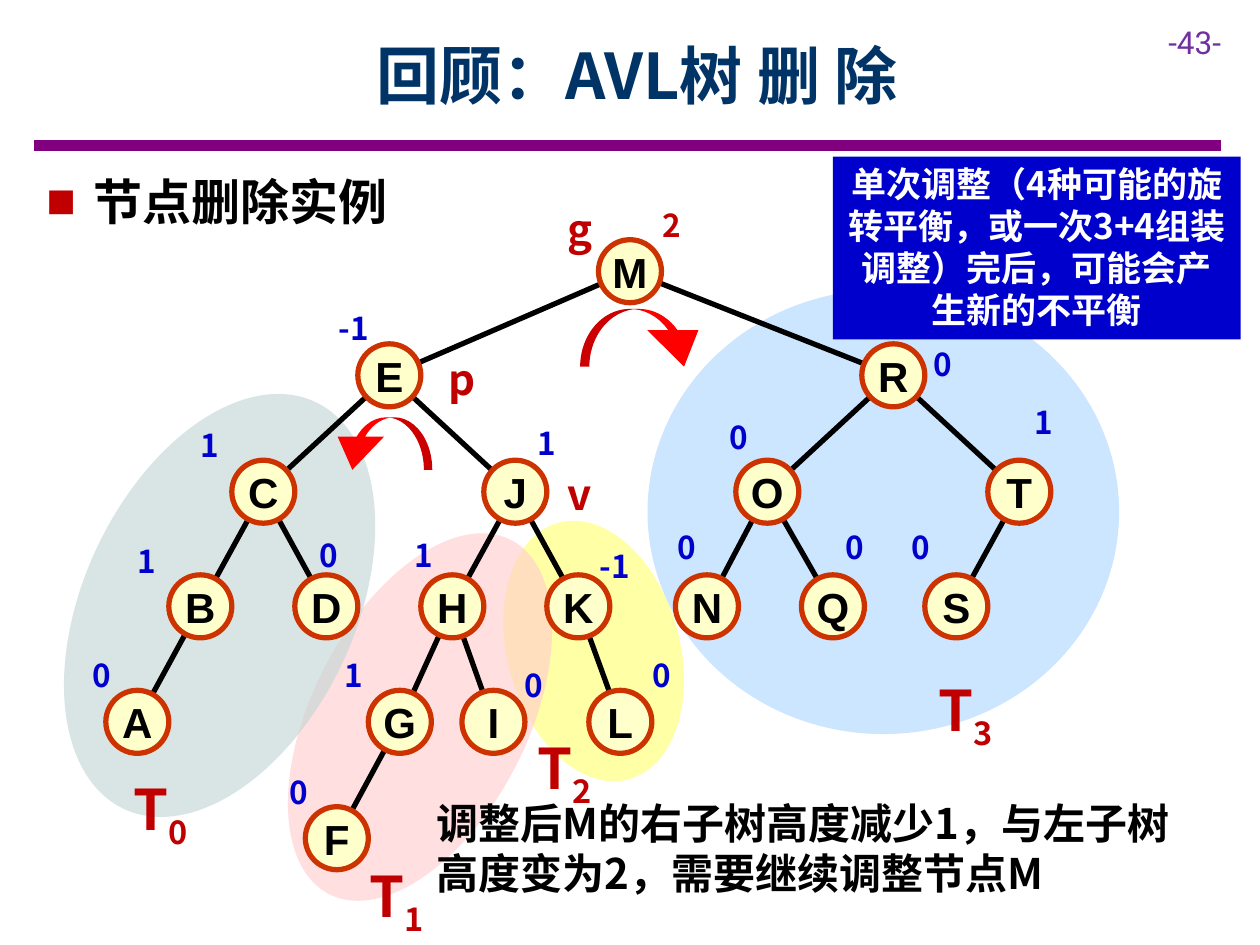
import pptx
import pptx.util
import pptx.dml.color
import pptx.enum.shapes
import pptx.enum.text
import pptx.oxml.ns
import lxml.etree

Pt = pptx.util.Pt
SHAPE = pptx.enum.shapes.MSO_SHAPE
ALIGN = pptx.enum.text.PP_ALIGN
ANCHOR = pptx.enum.text.MSO_ANCHOR
FIT = pptx.enum.text.MSO_AUTO_SIZE.SHAPE_TO_FIT_TEXT
qn = pptx.oxml.ns.qn

CJK, LATIN = "Noto Sans CJK SC", "Arial"
RED, BLUE, BLACK = "C00000", "0000CC", "000000"
NODE_SIZE = 36
ROWS = [55, 114.5, 181, 246.5, 312.5, 379]

# node: (centre x, row, parent, balance factor, left and top of the factor)
NODES = {
    "M": (360, 0, None, "2", (371.5, 14)),
    "E": (222.5, 1, "M", "-1", (186.5, 73)),
    "R": (510.5, 1, "M", "0", (526.5, 93.5)),
    "C": (150.5, 2, "E", "1", (107.5, 140)),
    "J": (294.5, 2, "E", "1", (300, 138.5)),
    "O": (438.5, 2, "R", "0", (409.5, 135.5)),
    "T": (582.5, 2, "R", "1", (584, 127)),
    "B": (114.5, 3, "C", "1", (71.5, 206)),
    "D": (186.5, 3, "C", "0", (175.5, 203)),
    "H": (258.5, 3, "J", "1", (229.5, 203)),
    "K": (330.5, 3, "J", "-1", (335.5, 209)),
    "N": (404, 3, "O", "0", (380, 198)),
    "Q": (476, 3, "O", "0", (476, 198)),
    "S": (546.5, 3, "T", "0", (513.5, 198)),
    "A": (78.5, 4, "B", "0", (45.5, 271.5)),
    "G": (228.5, 4, "H", "1", (190, 271.5)),
    "I": (282, 4, "H", "0", (292.5, 277)),
    "L": (354.5, 4, "K", "0", (366, 271.5)),
    "F": (192.5, 5, "G", "0", (158.5, 338)),
}
# subtree areas: left, top, width, height, rotation, colour, opacity in %
SUBTREES = [
    (370, 65.5, 269.5, 254, 0, "70B8FF", 35),
    (290, 196, 98.5, 152, 344.6, "FFFF00", 35),
    (178.5, 196, 123, 227.5, 27.2, "FFCCCC", 62),
    (48, 117.5, 155, 257, 25.2, "C2D6D6", 62),
]
SUBTREE_NAMES = [(69, 339), (204, 389), (300, 315.5), (529, 282.5)]
ROLES = [("g", 317.5, 12.5), ("p", 249, 98.5), ("v", 317, 164)]
# rotation arrows: left, top, width, height, mirrored
ROTATIONS = [(202.5, 124, 30, 59, True), (352, 56, 33, 74, False)]


def rgb(value):
    return pptx.dml.color.RGBColor.from_string(value)


def set_font(paragraph, size, color, face=CJK, bold=True):
    font = paragraph.font
    font.size, font.bold, font.name = Pt(size), bold, face
    font.color.rgb = rgb(color)
    defaults = paragraph._p.pPr.find(qn("a:defRPr"))
    east_asian = lxml.etree.Element(qn("a:ea"), typeface=face)
    defaults.find(qn("a:latin")).addnext(east_asian)


def add_text(slide, box, text, size, color, wrap=False, **font):
    label = slide.shapes.add_textbox(*map(Pt, box))
    frame = label.text_frame
    frame.word_wrap, frame.auto_size = wrap, FIT
    paragraph = frame.paragraphs[0]
    paragraph.text = text
    set_font(paragraph, size, color, **font)
    return paragraph


def add_filled(slide, kind, box, fill, line=None):
    shape = slide.shapes.add_shape(kind, *map(Pt, box))
    shape.shadow.inherit = False
    shape.fill.solid()
    shape.fill.fore_color.rgb = rgb(fill)
    if line:
        shape.line.color.rgb, shape.line.width = rgb(line), Pt(3)
    else:
        shape.line.fill.background()
    return shape


def add_line(slide, start, end, color, width):
    line = slide.shapes.add_connector(
        pptx.enum.shapes.MSO_CONNECTOR.STRAIGHT, *map(Pt, (*start, *end)))
    line.line.color.rgb, line.line.width = rgb(color), Pt(width)
    lxml.etree.SubElement(line._element.spPr, qn("a:effectLst"))


def build_header(slide, box):
    left, top, width, height = box
    title = slide.shapes.title
    title.left, title.top = Pt(left + 45.5), Pt(top)
    title.width, title.height = Pt(598), Pt(72)
    title.text_frame.vertical_anchor = ANCHOR.MIDDLE
    heading = title.text_frame.paragraphs[0]
    heading.text = "回顾：AVL树 删 除"
    heading.alignment = ALIGN.CENTER
    set_font(heading, 36, "003366")
    add_line(slide, (left, top + height), (left + width, top + height), "800080", 6)
    add_text(slide, (left + 641, top + 3, 60, 29), "-43-", 18, "7030A0",
             wrap=True, face="Roboto", bold=False)


def build_bullet(slide, box):
    paragraph = add_text(slide, box, "节点删除实例", 28, BLACK, wrap=True)
    paragraph.space_after = Pt(6)
    properties = paragraph._p.pPr
    properties.set("marL", str(Pt(27)))
    properties.set("indent", str(-Pt(27)))
    defaults = properties.find(qn("a:defRPr"))
    bullet_color = lxml.etree.Element(qn("a:buClr"))
    lxml.etree.SubElement(bullet_color, qn("a:srgbClr"), val=RED)
    defaults.addprevious(bullet_color)
    defaults.addprevious(lxml.etree.Element(qn("a:buFont"), typeface=LATIN))
    defaults.addprevious(lxml.etree.Element(qn("a:buChar"), char="■"))


def build_tree(slide, box):
    left, top = box[:2]

    def centre(name):
        return left + NODES[name][0], top + ROWS[NODES[name][1]]

    # Subtree areas
    for x, y, width, height, rotation, color, opacity in SUBTREES:
        area = add_filled(slide, SHAPE.OVAL, (left + x, top + y, width, height), color)
        area.rotation = rotation
        fill_color = area._element.spPr.find(qn("a:solidFill"))[0]
        lxml.etree.SubElement(fill_color, qn("a:alpha"), val=str(opacity * 1000))

    # Edges, then nodes over their ends
    for name, (_, _, parent, _, _) in NODES.items():
        if parent:
            add_line(slide, centre(parent), centre(name), BLACK, 3)
    for name, (_, _, _, factor, (x, y)) in NODES.items():
        node_x, node_y = centre(name)
        node = add_filled(slide, SHAPE.OVAL,
                          (node_x - NODE_SIZE / 2, node_y - NODE_SIZE / 2,
                           NODE_SIZE, NODE_SIZE), "FFFFCC", "CC3300")
        frame = node.text_frame
        frame.margin_left = frame.margin_right = 0
        frame.margin_top = frame.margin_bottom = 0
        frame.word_wrap, frame.vertical_anchor = False, ANCHOR.MIDDLE
        letter = frame.paragraphs[0]
        letter.text, letter.alignment = name, ALIGN.CENTER
        set_font(letter, 24, BLACK, face=LATIN)
        add_text(slide, (left + x, top + y, 26 if len(factor) == 1 else 34, 29),
                 factor, 18, RED if name == "M" else BLUE)

    # Roles and rotation arrows
    for role, x, y in ROLES:
        add_text(slide, (left + x, top + y, 31, 36), role, 24, RED)
    for x, y, width, height, mirrored in ROTATIONS:
        arrow = add_filled(slide, SHAPE.CURVED_LEFT_ARROW,
                           (left + x, top + y, width, height), "FF0000")
        arrow.rotation = 270
        for index, value in enumerate((0.16, 0.886, 0.633)):
            arrow.adjustments[index] = value
        if mirrored:
            arrow._element.spPr.find(qn("a:xfrm")).set("flipV", "1")

    # Subtree names with subscripts
    for index, (x, y) in enumerate(SUBTREE_NAMES):
        name = add_text(slide, (left + x, top + y, 48, 46), "T", 32, RED)
        subscript = name.add_run()
        subscript.text = str(index)
        subscript._r.get_or_add_rPr().set("baseline", "-25000")


def build_conclusion(slide, box):
    paragraph = add_text(
        slide, box, "调整后M的右子树高度减少1，与左子树高度变为2，需要继续调整节点M",
        24, BLACK, wrap=True)
    paragraph.space_after = Pt(6)


def build_callout(slide, box):
    callout = add_filled(slide, SHAPE.RECTANGLE, box, BLUE)
    frame = callout.text_frame
    frame.word_wrap, frame.auto_size = True, FIT
    frame.vertical_anchor = ANCHOR.TOP
    paragraph = frame.paragraphs[0]
    paragraph.text = "单次调整（4种可能的旋转平衡，或一次3+4组装调整）完后，可能会产生新的不平衡"
    paragraph.alignment, paragraph.space_after = ALIGN.CENTER, Pt(6)
    set_font(paragraph, 20, "FFFFFF")


def main():
    deck = pptx.Presentation()
    deck.slide_width, deck.slide_height = Pt(720), Pt(540)
    slide = deck.slides.add_slide(deck.slide_layouts[5])
    build_header(slide, (19.5, 6.5, 678, 76.5))
    build_tree(slide, (0, 100, 720, 440))
    build_bullet(slide, (19.5, 94.5, 468, 41))
    build_conclusion(slide, (242.5, 452, 455, 65.5))
    build_callout(slide, (476, 89.5, 233, 104.5))
    deck.save("out.pptx")


if __name__ == "__main__":
    main()
